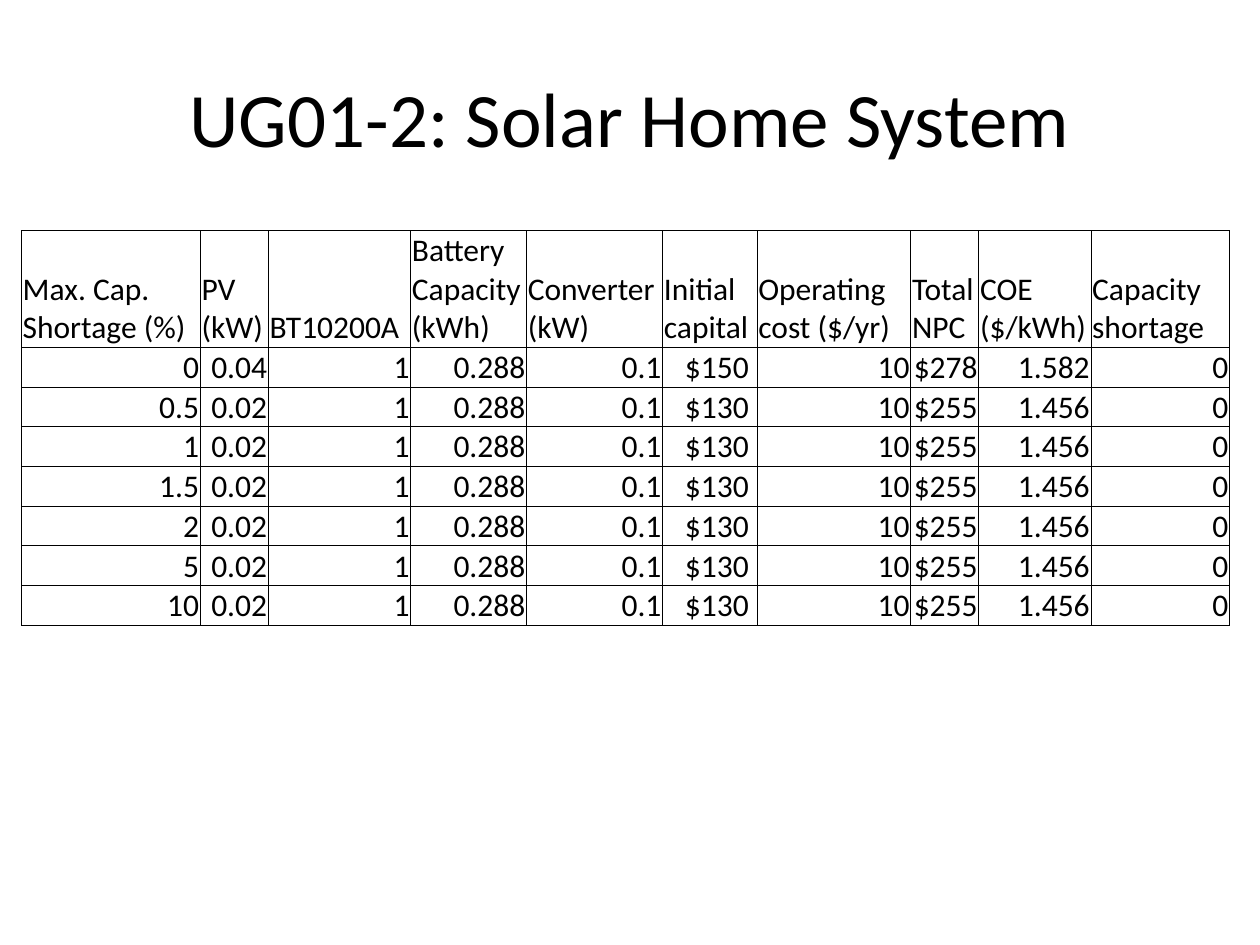
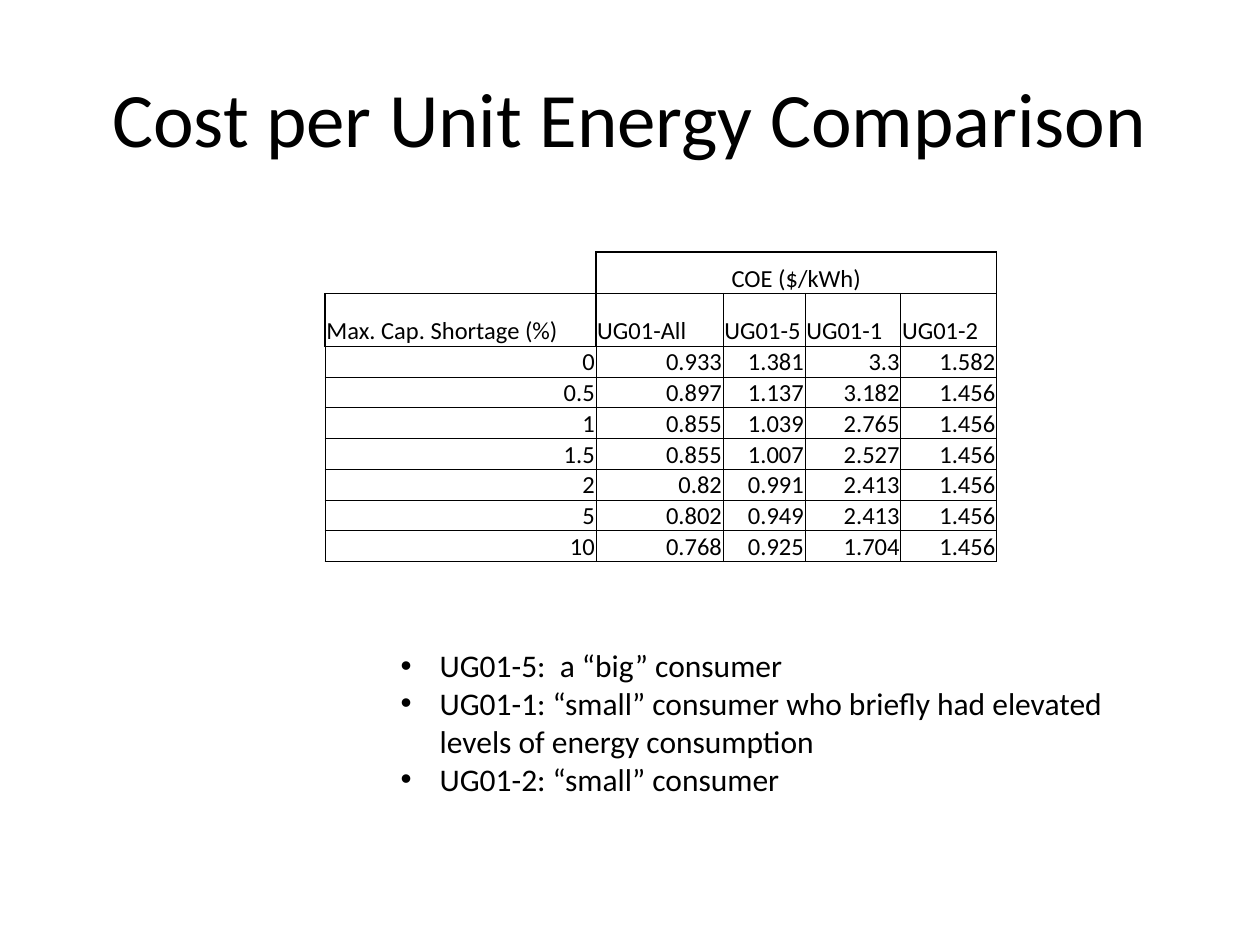
import pptx
import pptx.dml.color
import pptx.enum.text
import pptx.oxml.ns
import pptx.util
from lxml import etree

Inches = pptx.util.Inches
Pt = pptx.util.Pt
ALIGN = pptx.enum.text.PP_ALIGN
ANCHOR = pptx.enum.text.MSO_ANCHOR

BLACK = pptx.dml.color.RGBColor(0x00, 0x00, 0x00)
FONT = "Calibri"
THIN = 0.5
HEAVY = 1
SHORTAGES = ["0", "0.5", "1", "1.5", "2", "5", "10"]

SYSTEM_HEADINGS = [
    "Max. Cap. Shortage (%)", "PV (kW)", "BT10200A", "Battery Capacity (kWh)",
    "Converter (kW)", "Initial capital", "Operating cost ($/yr)", "Total NPC",
    "COE ($/kWh)", "Capacity shortage",
]
SYSTEM_WIDTHS = [1.42, 0.54, 1.13, 0.92, 1.08, 0.75, 1.22, 0.54, 0.89, 1.1]
FULL_SUPPLY = ["0.04", "1", "0.288", "0.1", "$150 ", "10", "$278 ", "1.582", "0"]
REDUCED_SUPPLY = ["0.02", "1", "0.288", "0.1", "$130 ", "10", "$255 ", "1.456", "0"]

COST_HEADINGS = ["Max. Cap. Shortage (%)", "UG01-All", "UG01-5", "UG01-1", "UG01-2"]
COST_WIDTHS = [2.15, 1.01, 0.65, 0.76, 0.76]
UNIT_COSTS = [
    ["0.933", "1.381", "3.3", "1.582"],
    ["0.897", "1.137", "3.182", "1.456"],
    ["0.855", "1.039", "2.765", "1.456"],
    ["0.855", "1.007", "2.527", "1.456"],
    ["0.82", "0.991", "2.413", "1.456"],
    ["0.802", "0.949", "2.413", "1.456"],
    ["0.768", "0.925", "1.704", "1.456"],
]
CONSUMERS = [
    "UG01-5:  a “big” consumer",
    "UG01-1: “small” consumer who briefly had elevated levels of energy consumption",
    "UG01-2: “small” consumer",
]


def add_run(paragraph, text, size, alignment):
    paragraph.alignment = alignment
    run = paragraph.add_run()
    run.text = text
    run.font.name = FONT
    run.font.size = Pt(size)
    run.font.color.rgb = BLACK


def add_titled_slide(presentation, layout_name, title):
    layout = presentation.slide_layouts.get_by_name(layout_name)
    slide = presentation.slides.add_slide(layout)
    shape = slide.shapes.title
    shape.left, shape.top = Inches(0.5), Inches(0.3)
    shape.width, shape.height = Inches(9), Inches(1.25)
    shape.text_frame.vertical_anchor = ANCHOR.MIDDLE
    add_run(shape.text_frame.paragraphs[0], title, 44, ALIGN.CENTER)
    return slide


def set_borders(cell, left=THIN, right=THIN, top=THIN, bottom=THIN):
    properties = cell._tc.get_or_add_tcPr()
    qn = pptx.oxml.ns.qn
    for side, width in zip("LRTB", (left, right, top, bottom)):
        tag = qn(f"a:ln{side}")
        for old_line in properties.findall(tag):
            properties.remove(old_line)
        line = etree.Element(tag, w=str(Pt(width)))
        properties.insert("LRTB".index(side), line)
        if width:
            fill = etree.SubElement(line, qn("a:solidFill"))
            etree.SubElement(fill, qn("a:srgbClr"), val=str(BLACK))
        else:
            etree.SubElement(line, qn("a:noFill"))


def fill_cell(cell, text, size, alignment):
    cell.margin_left = cell.margin_right = cell.margin_top = Inches(0.01)
    cell.margin_bottom = 0
    cell.vertical_anchor = ANCHOR.BOTTOM
    set_borders(cell)
    cell.fill.background()
    add_run(cell.text_frame.paragraphs[0], text, size, alignment)


def add_grid(slide, left, top, widths, heights, rows, size, heading_count):
    shape = slide.shapes.add_table(
        len(rows), len(widths), Inches(left), Inches(top),
        Inches(sum(widths)), Inches(sum(heights)),
    )
    table = shape.table
    table.first_row = table.horz_banding = False
    for column, width in zip(table.columns, widths):
        column.width = Inches(width)
    for row, height in zip(table.rows, heights):
        row.height = Inches(height)
    for row_index, values in enumerate(rows):
        alignment = ALIGN.LEFT if row_index < heading_count else ALIGN.RIGHT
        for column_index, text in enumerate(values):
            fill_cell(table.cell(row_index, column_index), text, size, alignment)
    return table


def join_cost_heading(table):
    last = len(table.columns) - 1
    set_borders(table.cell(0, 0), left=0, right=HEAVY, top=0, bottom=HEAVY)
    set_borders(table.cell(1, 0), HEAVY, HEAVY, HEAVY, HEAVY)
    set_borders(table.cell(2, 0), top=HEAVY)
    for index in range(1, last + 1):
        set_borders(table.cell(0, index), HEAVY, HEAVY, HEAVY, HEAVY)
        set_borders(table.cell(1, index), left=HEAVY if index == 1 else THIN, top=HEAVY)
    heading = table.cell(0, 1)
    heading.merge(table.cell(0, last))
    heading.text_frame.paragraphs[0].alignment = ALIGN.CENTER


def add_bullets(slide, items):
    body = slide.placeholders[1]
    body.left, body.top = Inches(2.58), Inches(5.08)
    body.width, body.height = Inches(6.83), Inches(1.31)
    frame = body.text_frame
    frame.auto_size = pptx.enum.text.MSO_AUTO_SIZE.SHAPE_TO_FIT_TEXT
    for index, text in enumerate(items):
        paragraph = frame.add_paragraph() if index else frame.paragraphs[0]
        paragraph.level = 1
        paragraph.space_before = Pt(0)
        add_run(paragraph, text, 18, ALIGN.LEFT)
        properties = paragraph._p.get_or_add_pPr()
        properties.set("marL", str(Inches(0.81)))
        properties.set("indent", str(Inches(-0.31)))
        etree.SubElement(properties, pptx.oxml.ns.qn("a:buFont"), typeface="Arial")
        etree.SubElement(properties, pptx.oxml.ns.qn("a:buChar"), char="•")


def add_system_slide(presentation):
    slide = add_titled_slide(presentation, "Title Only", "UG01-2: Solar Home System")
    rows = [SYSTEM_HEADINGS]
    for index, shortage in enumerate(SHORTAGES):
        rows.append([shortage] + (REDUCED_SUPPLY if index else FULL_SUPPLY))
    heights = [0.92] + [0.31] * len(SHORTAGES)
    add_grid(slide, 0.17, 1.83, SYSTEM_WIDTHS, heights, rows, 18, 1)


def add_comparison_slide(presentation):
    slide = add_titled_slide(
        presentation, "Title and Content", "Cost per Unit Energy Comparison"
    )
    rows = [["", "COE ($/kWh)", "", "", ""], COST_HEADINGS]
    rows += [[shortage] + costs for shortage, costs in zip(SHORTAGES, UNIT_COSTS)]
    heights = [0.33, 0.42] + [0.24] * len(SHORTAGES)
    table = add_grid(slide, 2.58, 2, COST_WIDTHS, heights, rows, 14, 2)
    join_cost_heading(table)
    add_bullets(slide, CONSUMERS)


def main():
    presentation = pptx.Presentation()
    presentation.slide_width = Inches(10)
    presentation.slide_height = Inches(7.5)
    add_system_slide(presentation)
    add_comparison_slide(presentation)
    presentation.save("out.pptx")


if __name__ == "__main__":
    main()
